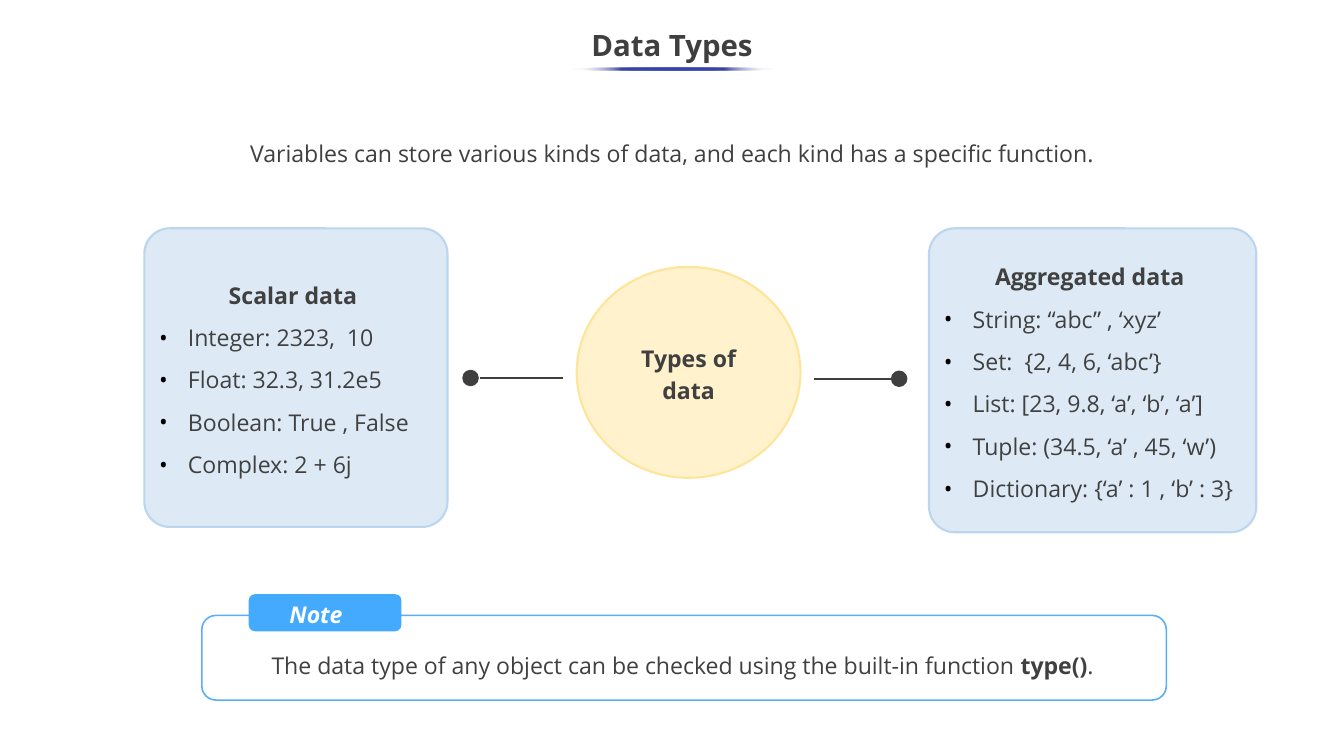
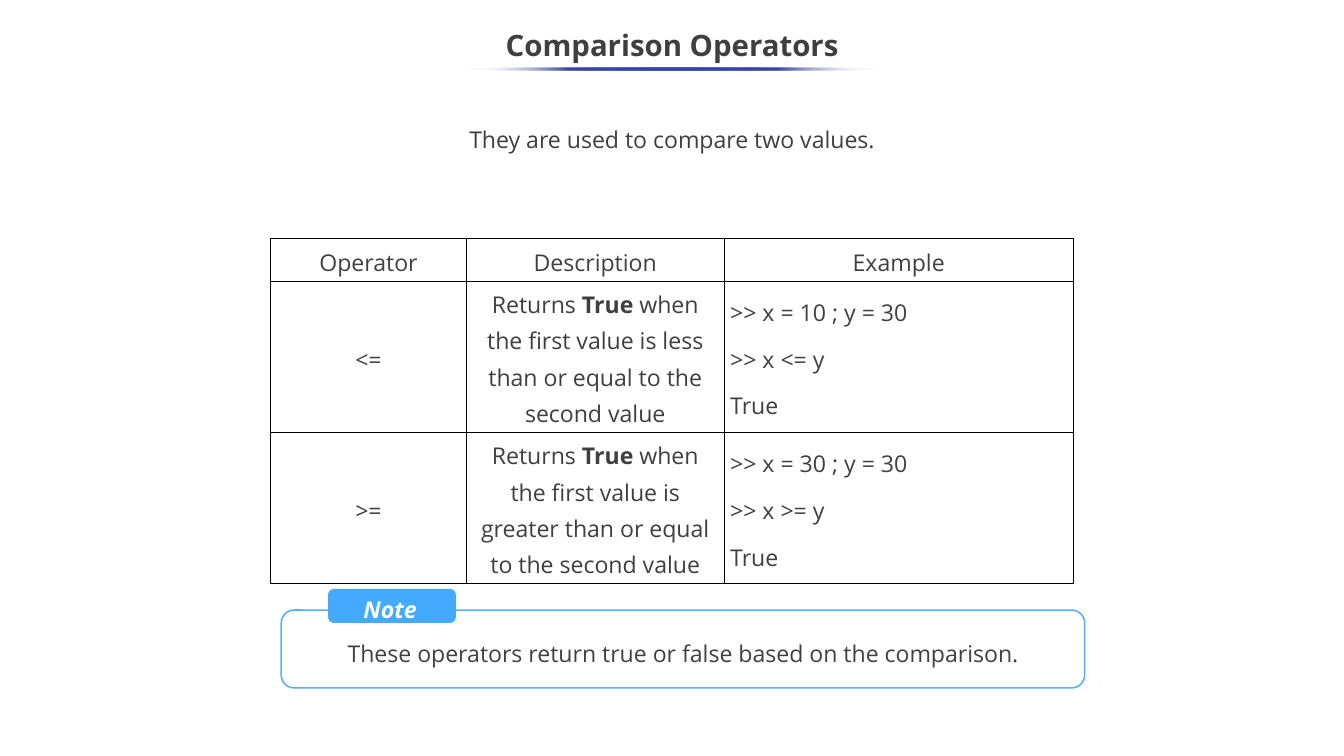
from lxml import etree
from pptx import Presentation
from pptx.dml.color import RGBColor
from pptx.enum import shapes, text
from pptx.oxml.ns import qn
from pptx.util import Inches, Pt

# Shared style
FONT = "Open Sans"
INK, SOFT_INK, WHITE, BLACK = "3F3F3F", "404040", "FFFFFF", "000000"
CARD_FILL, CARD_LINE = "DDEAF6", "BBD6EE"
HUB_FILL, HUB_LINE = "FFF2CC", "FEE599"
NOTE_FILL, NOTE_LINE, RULE = "44AAFE", "58AFF7", "3645A9"
PAGE_WIDTH, PAGE_HEIGHT = 17.78, 10
BODY_SIZE, TITLE_SIZE = 22, 28
LEFT, CENTER = text.PP_ALIGN.LEFT, text.PP_ALIGN.CENTER
TOP, MIDDLE = text.MSO_ANCHOR.TOP, text.MSO_ANCHOR.MIDDLE
ROUNDED, OVAL = shapes.MSO_SHAPE.ROUNDED_RECTANGLE, shapes.MSO_SHAPE.OVAL

# Content: a paragraph is a list of (words, bold) runs
TYPES = {
    "title": "Data Types", "rule_width": 2.68,
    "intro": "Variables can store various kinds of data, and each kind has a specific function.",
    "intro_at": (1.39, 1.49, 15, 1.03), "intro_spacing": 1.15,
    "note": [("The data type of any object can be checked using the built-in function ", False),
             ("type()", True), (".", False)],
    "note_frame": (2.67, 8.14, 12.76, 1.12), "note_tab": (3.29, 7.86, 2.02, 0.49),
    "note_label": (3.73, 7.89, 1.45, 0.3), "note_text": (2.3, 8.51, 13.46, 0.93),
    "note_align": CENTER,
}
CARDS = [
    ((1.91, 3.02, 4.01, 3.95), "Scalar data ",
     ["Integer: 2323,  10", "Float: 32.3, 31.2e5", "Boolean: True , False",
      "Complex: 2 + 6j"]),
    ((12.29, 3.02, 4.33, 4.02), "Aggregated data ",
     ["String: “abc” , ‘xyz’", "Set:  {2, 4, 6, ‘abc’}", "List: [23, 9.8, ‘a’, ‘b’, ‘a’]",
      "Tuple: (34.5, ‘a’ , 45, ‘w’)", "Dictionary: {‘a’ : 1 , ‘b’ : 3}"]),
]
HUB = ((7.63, 3.53, 2.96, 2.79), "Types of data")
ARMS = [(7.45, 6.35, 5, 6.13), (10.77, 11.88, 5.01, 11.8)]  # start, end, height, dot left
DOT = 0.19

OPERATORS = {
    "title": "Comparison Operators", "rule_width": 5.52,
    "intro": "They are used to compare two values.",
    "intro_at": (3.78, 1.52, 10.22, 0.65), "intro_spacing": 1,
    "note": [("These operators return true or false based on the comparison.", False)],
    "note_frame": (3.72, 8.07, 10.63, 1.03), "note_tab": (4.34, 7.79, 1.69, 0.45),
    "note_label": (4.71, 7.82, 1.21, 0.28), "note_text": (4.5, 8.35, 9.3, 0.53),
    "note_align": LEFT,
}
HEADINGS = ["Operator", "Description", "Example"]
COMPARISONS = [
    ("<=", "less than or equal to", [">> x = 10 ; y = 30", ">> x <= y", "True"]),
    (">=", "greater than or equal to", [">> x = 30 ; y = 30", ">> x >= y", "True"]),
]
COLUMNS, ROWS = [2.59, 3.41, 4.62], [0.56, 2, 2]
TABLE_AT = (3.58, 3.16, sum(COLUMNS), sum(ROWS))


def color(value):
    return RGBColor.from_string(value)


def add_paragraph(frame, runs, align=LEFT, ink=SOFT_INK, size=BODY_SIZE,
                  spacing=1.15, before=0, italic=False, bullet=False):
    first = frame.paragraphs[0]
    para = frame.add_paragraph() if first.runs else first
    para.alignment, para.line_spacing = align, spacing
    para.space_before = Pt(before)
    if bullet:
        props = para._p.get_or_add_pPr()
        props.set("marL", str(Inches(0.38)))
        props.set("indent", str(-Inches(0.38)))
        tint = etree.SubElement(props, qn("a:buClr"))
        etree.SubElement(tint, qn("a:srgbClr"), val=BLACK)
        etree.SubElement(props, qn("a:buFont"), typeface=FONT)
        etree.SubElement(props, qn("a:buChar"), char="•")
    for words, bold in runs:
        span = para.add_run()
        span.text = words
        font = span.font
        font.name, font.size, font.bold, font.italic = FONT, Pt(size), bold, italic
        font.color.rgb = color(ink)


def add_text(page, at, runs, anchor=TOP, **style):
    box = page.shapes.add_textbox(*map(Inches, at))
    box.text_frame.word_wrap = True
    box.text_frame.vertical_anchor = anchor
    add_paragraph(box.text_frame, runs, **style)


def add_shape(page, kind, at, fill=None, line=None, width=2, corner=None):
    shape = page.shapes.add_shape(kind, *map(Inches, at))
    shape.shadow.inherit = False
    if corner is not None:
        shape.adjustments[0] = corner
    if fill:
        shape.fill.solid()
        shape.fill.fore_color.rgb = color(fill)
    else:
        shape.fill.background()
    if line:
        shape.line.color.rgb = color(line)
        shape.line.width = Pt(width)
    else:
        shape.line.fill.background()
    shape.text_frame.word_wrap = True
    shape.text_frame.vertical_anchor = MIDDLE
    return shape


def add_title_rule(page, width):
    rule = add_shape(page, OVAL, ((17.8 - width) / 2, 0.89, width, 0.04))
    rule.fill.gradient()
    rule.fill.gradient_angle = 180
    stops = rule._element.spPr.find(qn("a:gradFill")).find(qn("a:gsLst"))
    for stop in list(stops):
        stops.remove(stop)
    for place, tint in [(0, WHITE), (25, RULE), (50, RULE), (75, RULE), (100, WHITE)]:
        stop = etree.SubElement(stops, qn("a:gs"), pos=str(place * 1000))
        shade = etree.SubElement(stop, qn("a:srgbClr"), val=tint)
        if tint == WHITE:
            etree.SubElement(shade, qn("a:alpha"), val="0")


def add_note(page, content):
    add_shape(page, ROUNDED, content["note_frame"], line=NOTE_LINE, width=1.5, corner=0.167)
    add_shape(page, ROUNDED, content["note_tab"], fill=NOTE_FILL, corner=0.167)
    add_text(page, content["note_label"], [("Note", True)], ink=WHITE, spacing=1, italic=True)
    add_text(page, content["note_text"], content["note"], align=content["note_align"])


def add_page(deck, content):
    page = deck.slides.add_slide(deck.slide_layouts[6])
    add_text(page, (-0.01, 0.25, 17.8, 0.75), [(content["title"], True)], MIDDLE,
             align=CENTER, ink=INK, size=TITLE_SIZE, spacing=0.9)
    add_title_rule(page, content["rule_width"])
    add_text(page, content["intro_at"], [(content["intro"], False)], MIDDLE,
             align=CENTER, ink=INK, spacing=content["intro_spacing"])
    add_note(page, content)
    return page


def add_arm(page, start, end, height, dot_left):
    arm = page.shapes.add_connector(shapes.MSO_CONNECTOR.STRAIGHT, Inches(start),
                                    Inches(height), Inches(end), Inches(height))
    arm.line.color.rgb = color(INK)
    arm.line.width = Pt(1.5)
    etree.SubElement(arm._element.spPr, qn("a:effectLst"))
    add_shape(page, OVAL, (dot_left, height - DOT / 2, DOT, DOT), INK, INK)


def add_borders(cell):
    props = cell._tc.get_or_add_tcPr()
    for side in ("lnL", "lnR", "lnT", "lnB"):
        edge = etree.SubElement(props, qn("a:" + side), w=str(Pt(1)))
        fill = etree.SubElement(edge, qn("a:solidFill"))
        etree.SubElement(fill, qn("a:srgbClr"), val=BLACK)


def fill_cell(cell, paragraphs, **style):
    add_borders(cell)
    cell.fill.background()
    cell.vertical_anchor = MIDDLE
    cell.margin_left = cell.margin_right = Inches(0.08)
    cell.margin_top = cell.margin_bottom = Inches(0.04)
    for index, runs in enumerate(paragraphs):
        add_paragraph(cell.text_frame, runs, before=10 if index else 0, **style)


def build_types(deck):
    page = add_page(deck, TYPES)
    at, label = HUB
    hub = add_shape(page, OVAL, at, HUB_FILL, HUB_LINE)
    add_paragraph(hub.text_frame, [(label, True)], CENTER)
    for arm in ARMS:
        add_arm(page, *arm)
    for at, heading, items in CARDS:
        card = add_shape(page, ROUNDED, at, CARD_FILL, CARD_LINE, corner=0.085)
        add_paragraph(card.text_frame, [(heading, True)], CENTER)
        for item in items:
            add_paragraph(card.text_frame, [(item, False)], before=10, bullet=True)


def build_operators(deck):
    page = add_page(deck, OPERATORS)
    table = page.shapes.add_table(len(ROWS), len(COLUMNS), *map(Inches, TABLE_AT)).table
    table.first_row = table.horz_banding = False
    for column, width in zip(table.columns, COLUMNS):
        column.width = Inches(width)
    for row, height in zip(table.rows, ROWS):
        row.height = Inches(height)
    for index, heading in enumerate(HEADINGS):
        fill_cell(table.cell(0, index), [[(heading, False)]], align=CENTER)
    for index, (symbol, relation, example) in enumerate(COMPARISONS, 1):
        meaning = [("Returns ", False), ("True", True),
                   (f" when the first value is {relation} the second value", False)]
        fill_cell(table.cell(index, 0), [[(symbol, False)]], align=CENTER, ink=INK)
        fill_cell(table.cell(index, 1), [meaning], align=CENTER, ink=INK)
        fill_cell(table.cell(index, 2), [[(line, False)] for line in example])


def main():
    deck = Presentation()
    deck.slide_width, deck.slide_height = Inches(PAGE_WIDTH), Inches(PAGE_HEIGHT)
    build_types(deck)
    build_operators(deck)
    deck.save("out.pptx")


if __name__ == "__main__":
    main()
